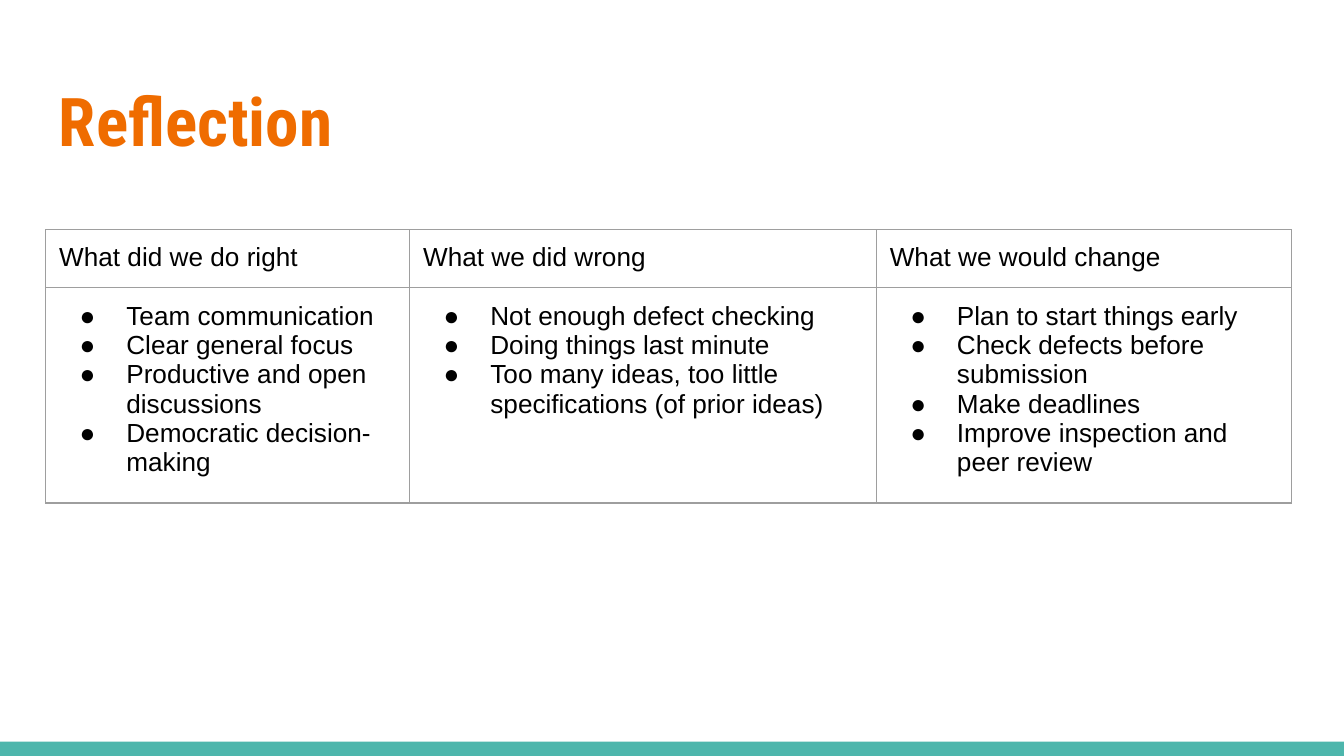
"""Build the Reflection slide with its three-column review table."""
from lxml.etree import SubElement
from pptx import Presentation
from pptx.dml.color import RGBColor
from pptx.enum.shapes import MSO_SHAPE
from pptx.oxml.ns import qn
from pptx.util import Pt

TEAL = RGBColor(0x4D, 0xB6, 0xAC)
ORANGE = RGBColor(0xEF, 0x6C, 0x00)
BLACK = RGBColor(0, 0, 0)
GRAY = RGBColor(0x9E, 0x9E, 0x9E)

TITLE = "Reflection"
COLUMNS = [
    ("What did we do right", 195, [
        "Team communication",
        "Clear general focus",
        "Productive and open discussions",
        "Democratic decision-making",
    ]),
    ("What we did wrong", 250, [
        "Not enough defect checking",
        "Doing things last minute",
        "Too many ideas, too little specifications (of prior ideas)",
    ]),
    ("What we would change", 222.5, [
        "Plan to start things early",
        "Check defects before submission",
        "Make deadlines",
        "Improve inspection and peer review",
    ]),
]
ROW_HEIGHTS = [30.5, 108.5]
SLIDE_WIDTH, SLIDE_HEIGHT = 720, 405
LEFT, TABLE_TOP, BAR_HEIGHT = 24.5, 123, 7.7
INSET = Pt(7.2)
MARGINS = {f"margin_{side}": INSET for side in ("left", "top", "right", "bottom")}
TITLE_FONT = {"name": "Roboto Condensed", "size": Pt(36), "bold": True}
BODY_FONT = {"name": "Arial", "size": Pt(14), "bold": False}


def apply(target, values):
    for name, value in values.items():
        setattr(target, name, value)


def set_font(paragraph, values, color):
    apply(paragraph.runs[0].font, values)
    paragraph.runs[0].font.color.rgb = color


def add_bullet(paragraph):
    properties = paragraph._p.get_or_add_pPr()
    properties.set("marL", str(Pt(36)))
    properties.set("indent", str(Pt(-25)))
    bullet_color = SubElement(properties, qn("a:buClr"))
    SubElement(bullet_color, qn("a:srgbClr"), val=str(BLACK))
    SubElement(properties, qn("a:buFont"), typeface="Arial")
    SubElement(properties, qn("a:buChar"), char="●")


def add_borders(cell):
    properties = cell._tc.get_or_add_tcPr()
    for side in ("lnL", "lnR", "lnT", "lnB"):
        line = SubElement(properties, qn(f"a:{side}"), w=str(Pt(0.75)))
        fill = SubElement(line, qn("a:solidFill"))
        SubElement(fill, qn("a:srgbClr"), val=str(GRAY))


def fill_cell(cell, lines, bulleted):
    apply(cell, MARGINS)
    add_borders(cell)
    cell.fill.background()
    cell.text = "\n".join(lines)
    for paragraph in cell.text_frame.paragraphs:
        if bulleted:
            add_bullet(paragraph)
        set_font(paragraph, BODY_FONT, BLACK)


def add_bar(slide):
    bar = slide.shapes.add_shape(
        MSO_SHAPE.RECTANGLE, 0, Pt(SLIDE_HEIGHT - BAR_HEIGHT), Pt(SLIDE_WIDTH), Pt(BAR_HEIGHT))
    bar.shadow.inherit = False
    bar.fill.solid()
    bar.fill.fore_color.rgb = TEAL
    bar.line.fill.background()


def add_title(slide):
    title = slide.shapes.add_textbox(Pt(LEFT), Pt(35.5), Pt(SLIDE_WIDTH - 2 * LEFT), Pt(55.5))
    frame = title.text_frame
    apply(frame, {**MARGINS, "word_wrap": True, "text": TITLE})
    set_font(frame.paragraphs[0], TITLE_FONT, ORANGE)


def add_review_table(slide):
    total_width = sum(width for _, width, _ in COLUMNS)
    table = slide.shapes.add_table(
        len(ROW_HEIGHTS), len(COLUMNS), Pt(LEFT), Pt(TABLE_TOP),
        Pt(total_width), Pt(sum(ROW_HEIGHTS))).table
    apply(table, {"first_row": False, "horz_banding": False})
    for row, height in zip(table.rows, ROW_HEIGHTS):
        row.height = Pt(height)
    for index, (heading, width, points) in enumerate(COLUMNS):
        table.columns[index].width = Pt(width)
        fill_cell(table.cell(0, index), [heading], False)
        fill_cell(table.cell(1, index), points, True)


def main():
    presentation = Presentation()
    apply(presentation, {"slide_width": Pt(SLIDE_WIDTH), "slide_height": Pt(SLIDE_HEIGHT)})
    slide = presentation.slides.add_slide(presentation.slide_layouts[6])
    add_bar(slide)
    add_title(slide)
    add_review_table(slide)
    presentation.save("out.pptx")


if __name__ == "__main__":
    main()
